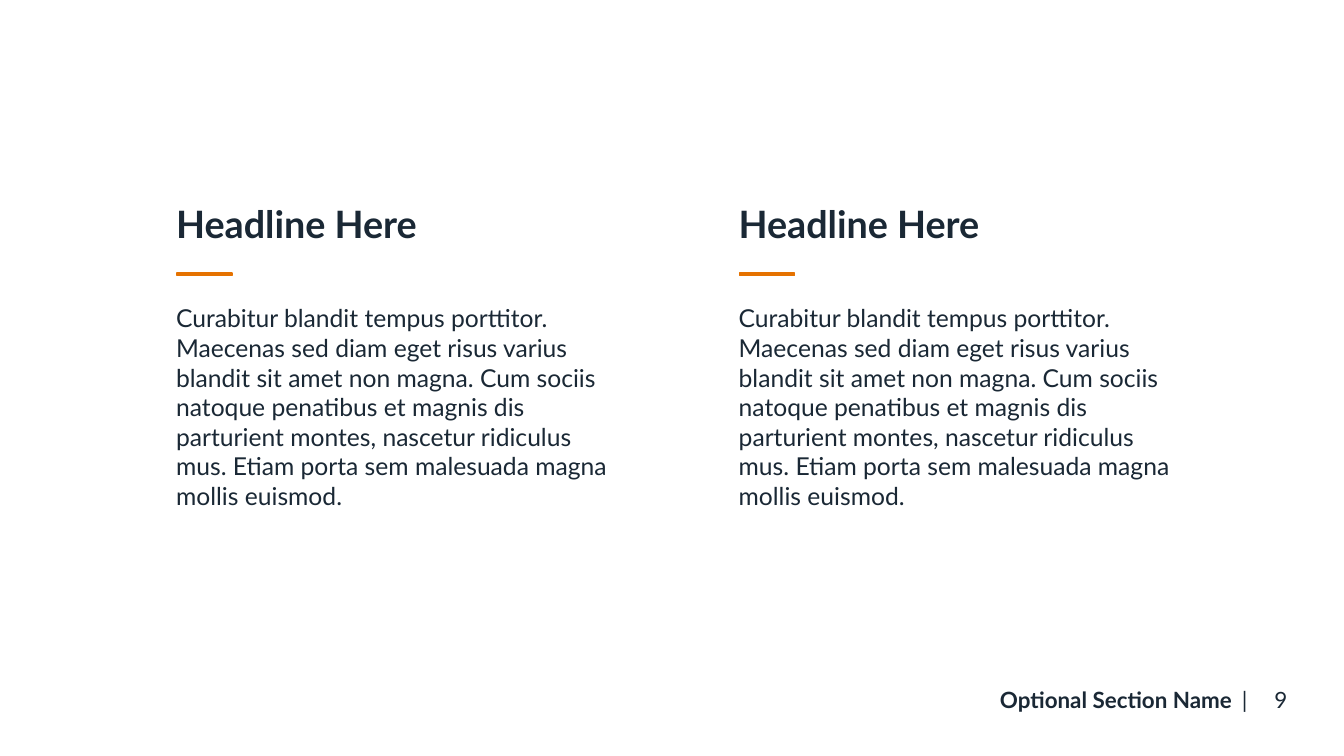
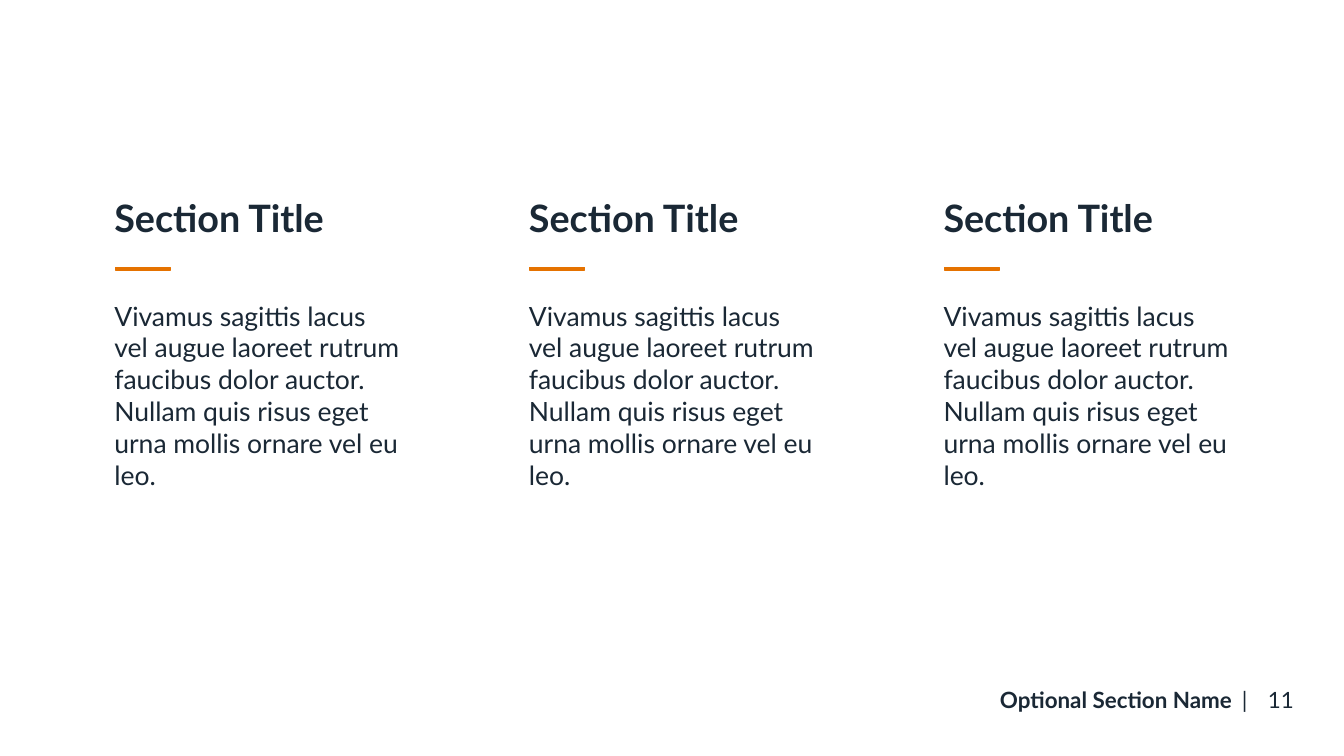
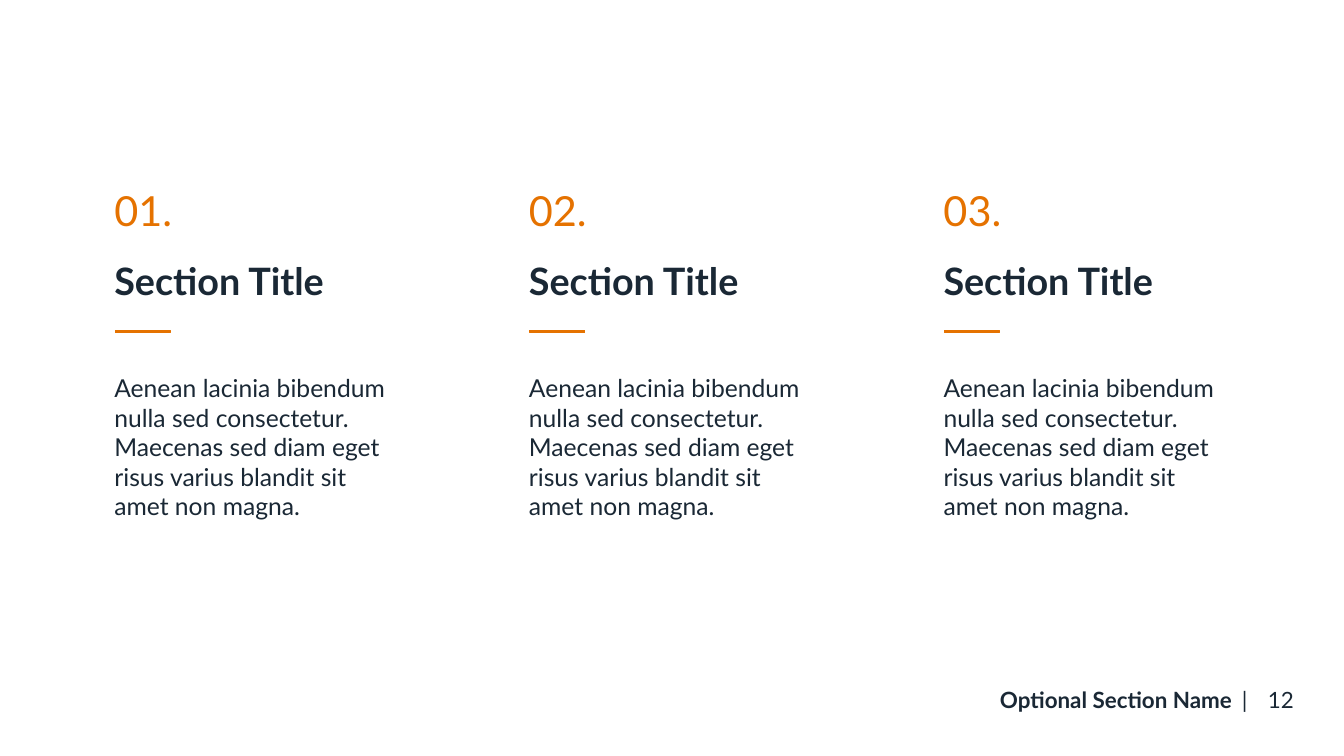
from pptx import Presentation
from pptx.dml.color import RGBColor
from pptx.enum.shapes import MSO_SHAPE as Preset
from pptx.enum.text import MSO_ANCHOR as Anchor, PP_ALIGN as Align
from pptx.util import Pt

INK = "1A2835"
ORANGE = "E57200"
FONT = "Lato"
INSET = 7.2
TITLE_HEIGHT = 27.4
RULE_DROP = 40.3
FOOTER_TOP, FOOTER_HEIGHT = 359.3, 31

HEADING = {"size": Pt(20.2), "bold": True}
NUMBER = {"size": Pt(22.2)}
FOOTER = {"size": Pt(12)}
FOOTER_BOLD = {"size": Pt(12), "bold": True}

HEADLINE_BODY = (
    "Curabitur blandit tempus porttitor. Maecenas sed diam eget risus varius "
    "blandit sit amet non magna. Cum sociis natoque penatibus et magnis dis "
    "parturient montes, nascetur ridiculus mus. Etiam porta sem malesuada "
    "magna mollis euismod."
)
SECTION_BODY = (
    "Vivamus sagittis lacus vel augue laoreet rutrum faucibus dolor auctor. "
    "Nullam quis risus eget urna mollis ornare vel eu leo."
)
NUMBERED_BODY = (
    "Aenean lacinia bibendum nulla sed consectetur. Maecenas sed diam eget "
    "risus varius blandit sit amet non magna."
)

TWO_COLUMNS = {"first": 87.3, "step": 301.4, "count": 2, "width": 244.8}
THREE_COLUMNS = {"first": 54.2, "step": 222.1, "count": 3, "width": 167.9}


def color(code):
    return RGBColor.from_string(code)


def set_format(target, values):
    for name, value in values.items():
        setattr(target, name, value)


def add_span(para, text, style, code=INK):
    span = para.add_run()
    span.text = text
    set_format(span.font, {"name": FONT, "bold": False, **style})
    span.font.color.rgb = color(code)
    return span


def add_text_box(page, left, top, width, height, align=Align.LEFT):
    box = page.shapes.add_textbox(Pt(left), Pt(top), Pt(width), Pt(height))
    sides = ("left", "right", "top", "bottom")
    set_format(box.text_frame, {
        "word_wrap": True,
        "vertical_anchor": Anchor.MIDDLE,
        **{f"margin_{side}": Pt(INSET) for side in sides},
    })
    para = box.text_frame.paragraphs[0]
    para.alignment = align
    return para


def add_rule(page, left, top):
    rule = page.shapes.add_shape(
        Preset.RECTANGLE, Pt(left), Pt(top), Pt(29.5), Pt(1.4))
    rule.shadow.inherit = False
    rule.fill.solid()
    rule.fill.fore_color.rgb = color(ORANGE)
    rule.line.color.rgb = color(ORANGE)
    rule.line.width = Pt(0.75)


def add_footer(page, page_number):
    para = add_text_box(
        page, 670.3, FOOTER_TOP, 31.7, FOOTER_HEIGHT, Align.CENTER)
    add_span(para, str(page_number), FOOTER)
    para = add_text_box(
        page, 509, FOOTER_TOP, 166.4, FOOTER_HEIGHT, Align.RIGHT)
    add_span(para, "Optional Section Name", FOOTER_BOLD)
    gap = add_span(para, " ", FOOTER_BOLD)
    gap._r.get_or_add_rPr().set("spc", "230")
    add_span(para, "|", FOOTER)


def add_column(page, left, top, width, title, body, size, drop, height):
    para = add_text_box(page, left, top, width, TITLE_HEIGHT)
    add_span(para, title, HEADING)
    add_rule(page, left + 7.5, top + RULE_DROP)
    para = add_text_box(page, left, top + drop, width, height)
    add_span(para, body, {"size": Pt(size)})


def add_number(page, left, number):
    para = add_text_box(page, left, 98.7, 67.7, TITLE_HEIGHT)
    add_span(para, f"{number:02}.", NUMBER, ORANGE)


def add_page(deck, page_number, grid, content, numbered=False):
    page = deck.slides.add_slide(deck.slide_layouts[6])
    add_footer(page, page_number)
    for index in range(grid["count"]):
        left = grid["first"] + index * grid["step"]
        if numbered:
            add_number(page, left, index + 1)
        add_column(page, left, width=grid["width"], **content)


def main():
    deck = Presentation()
    deck.slide_width, deck.slide_height = Pt(720), Pt(405)
    add_page(deck, 9, TWO_COLUMNS, {
        "title": "Headline Here", "body": HEADLINE_BODY,
        "top": 106, "size": 13.2, "drop": 54.7, "height": 114.5})
    add_page(deck, 11, THREE_COLUMNS, {
        "title": "Section Title", "body": SECTION_BODY,
        "top": 103, "size": 14.2, "drop": 54.7, "height": 108})
    add_page(deck, 12, THREE_COLUMNS, {
        "title": "Section Title", "body": NUMBERED_BODY,
        "top": 136.6, "size": 13.2, "drop": 59.2, "height": 87.1},
        numbered=True)
    deck.save("out.pptx")


if __name__ == "__main__":
    main()
